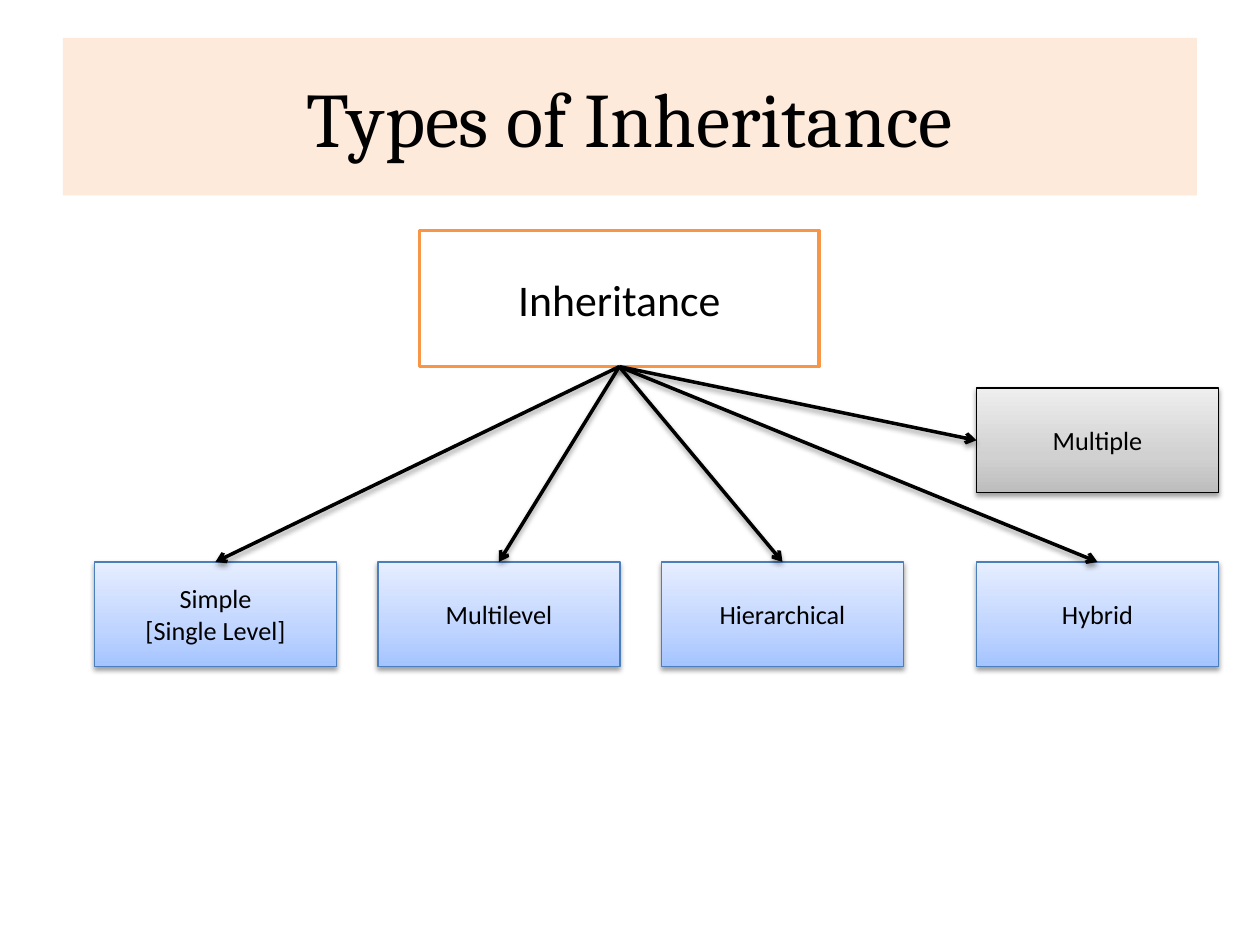
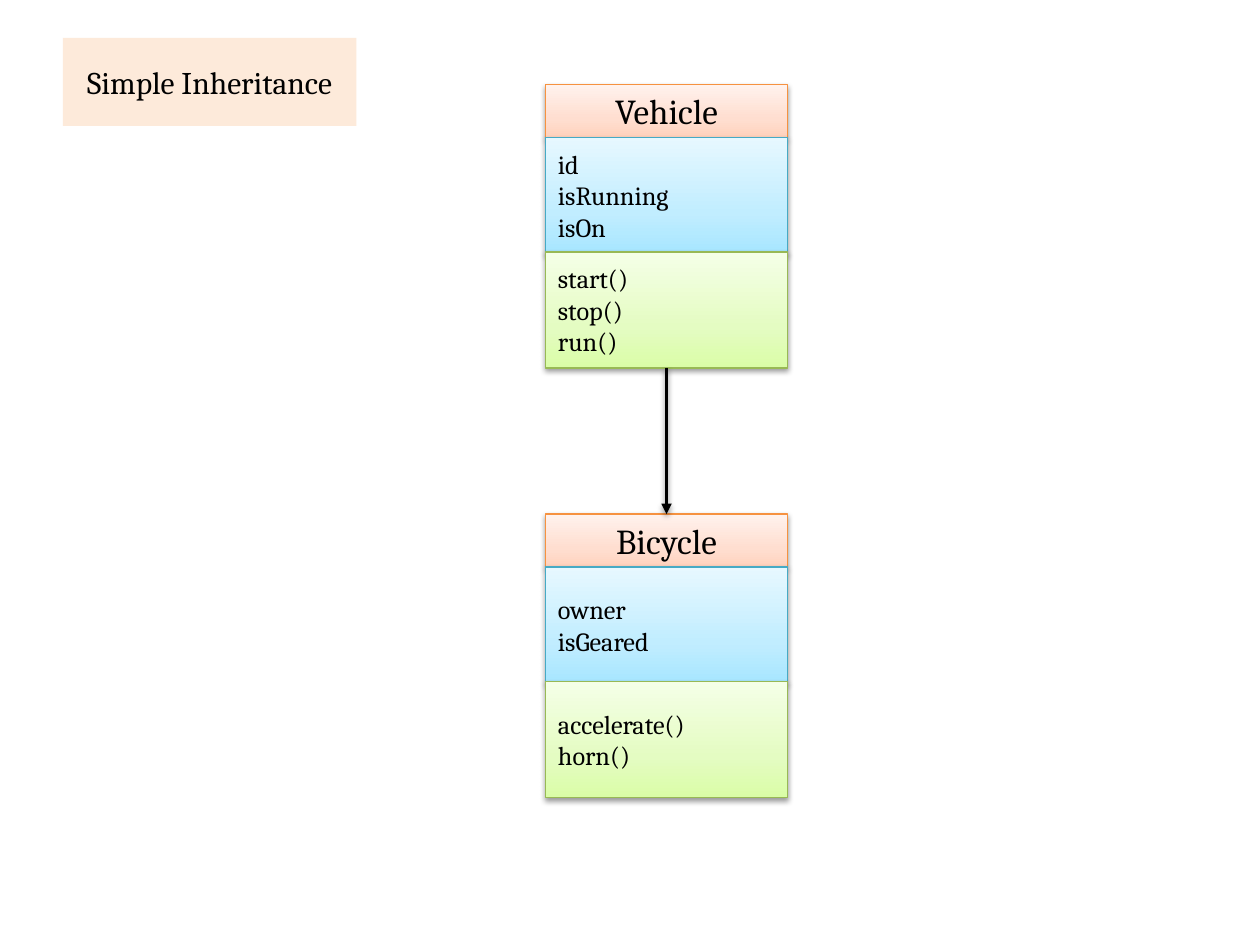
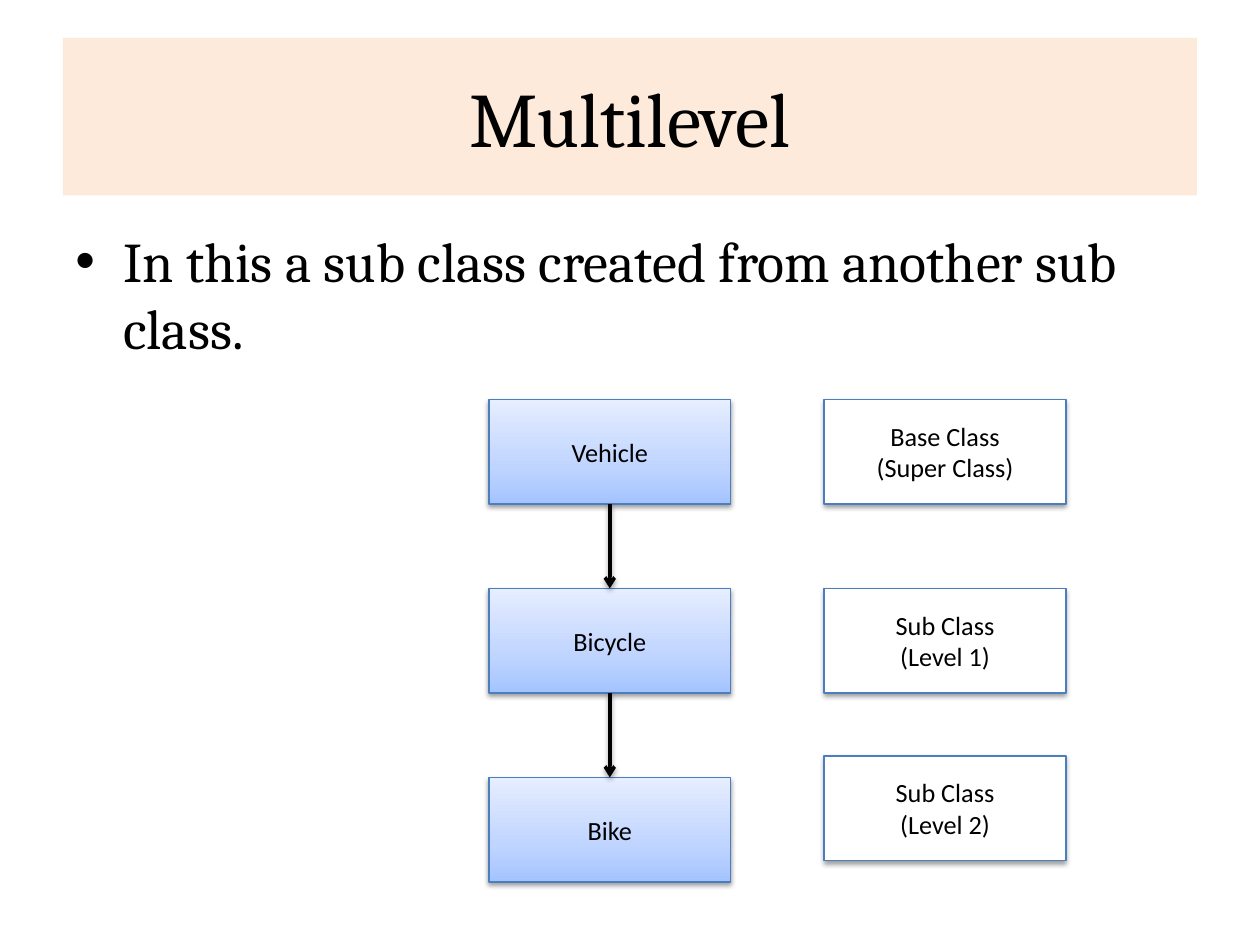
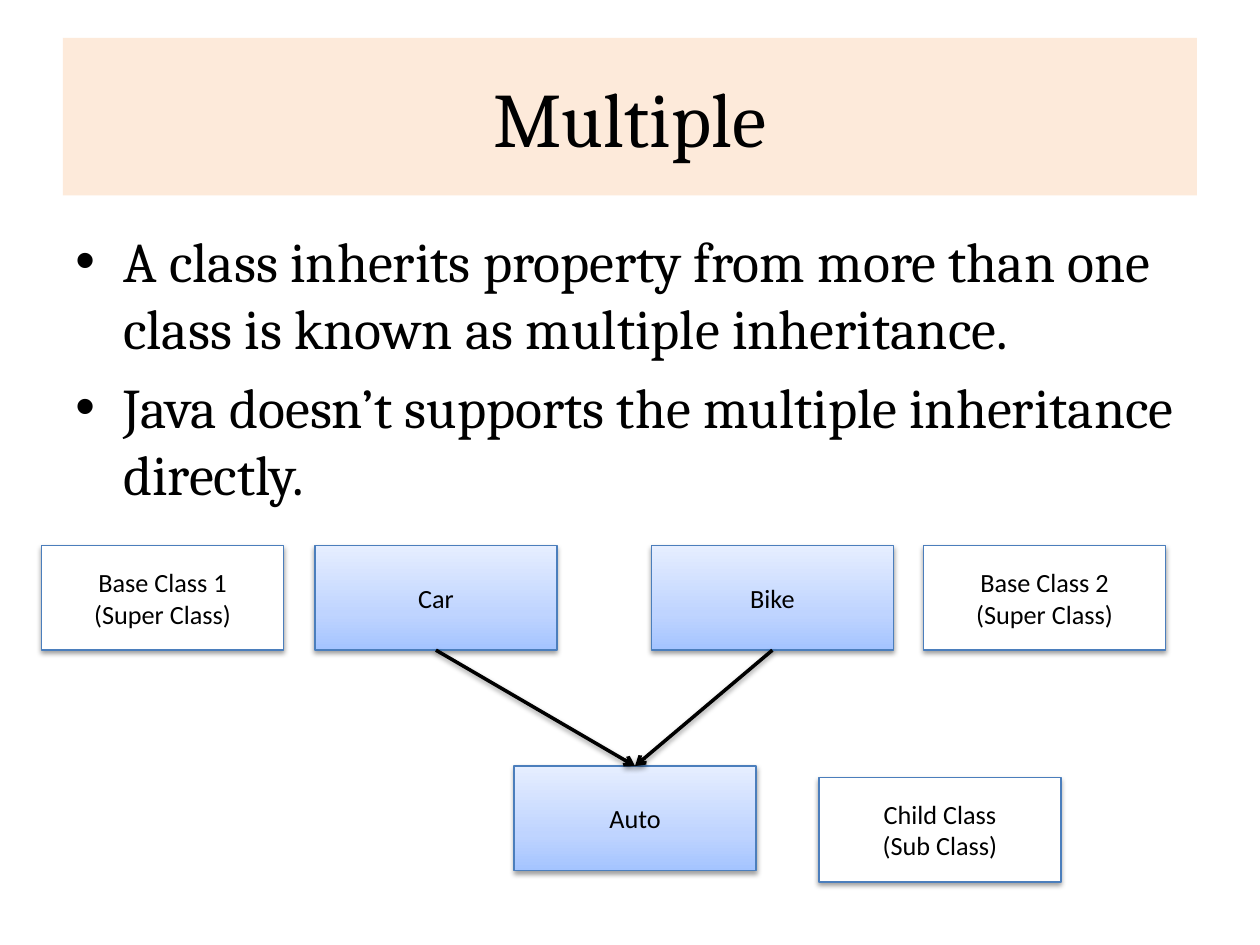
"""Build four slides on the types of inheritance."""
from copy import deepcopy
from dataclasses import dataclass

from lxml import etree
from pptx import Presentation
from pptx import util as u
from pptx.dml.color import RGBColor
from pptx.enum import shapes, text
from pptx.oxml import ns


@dataclass(frozen=True)
class Theme:
    """Hold the colours, fonts and type sizes of the deck."""
    ink: str = "000000"
    band: str = "FDEADA"
    serif: str = "Cambria"
    sans: str = "Calibri"
    head: int = 44
    small: int = 18
    body: int = 32
    root: int = 25
    name: int = 20
    note: int = 15
    rule: float = 2
    edge: float = 0.75
    blue: tuple = (("A4C4FF", "BFD4FF", "E6EEFF"), "4B7EBC")
    gray: tuple = (("BDBDBD", "D1D1D1", "EEEEEE"), "000000")
    peach: tuple = (("FFD2BD", "FFDED0", "FFF2ED"), "F69240")
    aqua: tuple = (("A7E6FF", "C1EDFF", "E7F8FF"), "46AAC5")
    green: tuple = (("DAFDA7", "E4FCC2", "F5FFE7"), "98B955")
    white: tuple = (("FFFFFF",), "4B7EBC")
    frame: tuple = (("FFFFFF",), "F79646")


def sub(node, tag, **attrs):
    """Add a child element with the given attributes."""
    return etree.SubElement(node, ns.qn(tag), {k: str(v) for k, v in attrs.items()})


class Deck:
    """Draw each kind of element on the current slide."""

    def __init__(self, theme):
        self.theme = theme
        self.show = Presentation()
        self.show.slide_width = u.Inches(10)
        self.show.slide_height = u.Inches(7.5)
        self.slide = None

    def page(self, title, width=9, height=1.25, size=None):
        """Start a slide with a title on a tinted band."""
        t = self.theme
        self.slide = self.show.slides.add_slide(self.show.slide_layouts[6])
        self.box(title, 0.5, 0.3, width, height, ((t.band,), None),
                 size=size or t.head, font=t.serif, shade=False)

    def label(self, frame, words, size, font, align):
        """Fill a text frame and format its runs."""
        frame.text = words
        frame.word_wrap = True
        for par in frame.paragraphs:
            par.alignment = align
            for run in par.runs:
                run.font.size = u.Pt(size)
                run.font.name = font
                run.font.color.rgb = RGBColor.from_string(self.theme.ink)

    def paint(self, shape, tones):
        """Fill a shape with one tone, or blend three upwards."""
        fill = shape.fill
        if len(tones) == 1:
            fill.solid()
            fill.fore_color.rgb = RGBColor.from_string(tones[0])
            return
        fill.gradient()
        fill.gradient_angle = 90
        first = next(shape._element.spPr.iter(ns.qn("a:gs")))
        first.addnext(deepcopy(first))
        for stop, place, tone in zip(fill.gradient_stops, (0, 0.35, 1), tones):
            stop.position = place
            stop.color.rgb = RGBColor.from_string(tone)

    def cast(self, shape):
        """Give a shape or connector a soft shadow below it."""
        props = shape._element.spPr
        effect = props.find(ns.qn("a:effectLst"))
        if effect is None:
            effect = sub(props, "a:effectLst")
        drop = sub(effect, "a:outerShdw", blurRad=u.Pt(3.1), dist=u.Pt(1.6),
                   dir=5400000, rotWithShape=0)
        tone = sub(drop, "a:srgbClr", val=self.theme.ink)
        sub(tone, "a:alpha", val=38000)

    def box(self, words, x, y, width=1.92, height=0.83, look=None, size=None,
            font=None, edge=None, align=text.PP_ALIGN.CENTER, shade=True, group=None):
        """Draw a rectangle with text in the middle."""
        t = self.theme
        tones, line = look or t.blue
        shape = (group or self.slide).shapes.add_shape(
            shapes.MSO_SHAPE.RECTANGLE, *map(u.Inches, (x, y, width, height)))
        shape.shadow.inherit = False
        self.paint(shape, tones)
        if line:
            shape.line.color.rgb = RGBColor.from_string(line)
            shape.line.width = u.Pt(edge or t.edge)
        else:
            shape.line.fill.background()
        if shade:
            self.cast(shape)
        shape.text_frame.vertical_anchor = text.MSO_ANCHOR.MIDDLE
        self.label(shape.text_frame, words, size or t.note, font or t.sans, align)
        return shape

    def card(self, name, fields, calls, x, y):
        """Draw a class as a group of name, fields and methods."""
        t = self.theme
        group = self.slide.shapes.add_group_shape()
        left = text.PP_ALIGN.LEFT
        top = self.box(name, x, y, height=0.42, look=t.peach, size=t.name,
                       font=t.serif, group=group)
        self.box(fields, x, y + 0.42, height=0.92, look=t.aqua,
                 font=t.serif, align=left, group=group)
        end = self.box(calls, x, y + 1.33, height=0.92, look=t.green,
                       font=t.serif, align=left, group=group)
        return top, end

    def arrow(self, start, stop, site=0, tip="arrow"):
        """Join the bottom of one box to a side of another."""
        line = self.slide.shapes.add_connector(shapes.MSO_CONNECTOR.STRAIGHT, 0, 0, 0, 0)
        line.begin_connect(start, 2)
        line.end_connect(stop, site)
        line.line.color.rgb = RGBColor.from_string(self.theme.ink)
        line.line.width = u.Pt(self.theme.rule)
        sub(line._element.spPr.find(ns.qn("a:ln")), "a:tailEnd", type=tip)
        self.cast(line)

    def points(self, words):
        """Set bulleted paragraphs below the title."""
        t = self.theme
        area = self.slide.shapes.add_textbox(*map(u.Inches, (0.5, 1.75, 9, 4.95)))
        self.label(area.text_frame, words, t.body, t.serif, text.PP_ALIGN.LEFT)
        for par in area.text_frame.paragraphs:
            par.space_before = u.Pt(t.body * 0.2)
            props = par._p.get_or_add_pPr()
            props.set("marL", str(u.Inches(0.38)))
            props.set("indent", str(u.Inches(-0.38)))
            sub(props, "a:buFont", typeface="Arial")
            sub(props, "a:buChar", char="•")


def types(deck):
    """Show the tree of inheritance types."""
    t = deck.theme
    deck.page("Types of Inheritance")
    root = deck.box("Inheritance", 3.33, 1.83, 3.17, 1.08, t.frame,
                    size=t.root, edge=t.rule, shade=False)
    kinds = (("Simple\n[Single Level]", 0.75), ("Multilevel", 3),
             ("Hierarchical", 5.25), ("Hybrid", 7.75))
    for name, x in kinds:
        deck.arrow(root, deck.box(name, x, 4.46))
    deck.arrow(root, deck.box("Multiple", 7.75, 3.08, look=t.gray), site=1)


def simple(deck):
    """Show one class derived from another."""
    deck.page("Simple Inheritance", 2.33, 0.7, deck.theme.small)
    _, base = deck.card("Vehicle", "id\nisRunning\nisOn",
                        "start()\nstop()\nrun()", 4.33, 0.67)
    child, _ = deck.card("Bicycle", "owner\nisGeared",
                         "accelerate()\nhorn()", 4.33, 4.08)
    deck.arrow(base, child, tip="triangle")


def levels(deck):
    """Show a chain of three classes."""
    deck.page("Multilevel")
    deck.points("In this a sub class created from another sub class.")
    chain = [deck.box(name, 3.88, 3.17 + 1.5 * step)
             for step, name in enumerate(("Vehicle", "Bicycle", "Bike"))]
    for pair in zip(chain, chain[1:]):
        deck.arrow(*pair)
    notes = (("Base Class\n(Super Class)", 3.17), ("Sub Class\n(Level 1)", 4.67),
             ("Sub Class\n(Level 2)", 6))
    for words, y in notes:
        deck.box(words, 6.54, y, look=deck.theme.white)


def multiple(deck):
    """Show one class with two bases."""
    deck.page("Multiple")
    deck.points("A class inherits property from more than one class is known as "
                "multiple inheritance.\n"
                "Java doesn’t supports the multiple inheritance directly.")
    child = deck.box("Auto", 4.08, 6.08)
    for name, x in (("Car", 2.5), ("Bike", 5.17)):
        deck.arrow(deck.box(name, x, 4.33), child)
    notes = (("Base Class 1\n(Super Class)", 0.33, 4.33),
             ("Base Class 2\n(Super Class)", 7.33, 4.33),
             ("Child Class\n(Sub Class)", 6.5, 6.17))
    for words, x, y in notes:
        deck.box(words, x, y, look=deck.theme.white)


def main():
    """Build and save the deck."""
    deck = Deck(Theme())
    for build in (types, simple, levels, multiple):
        build(deck)
    deck.show.save("out.pptx")


if __name__ == "__main__":
    main()
